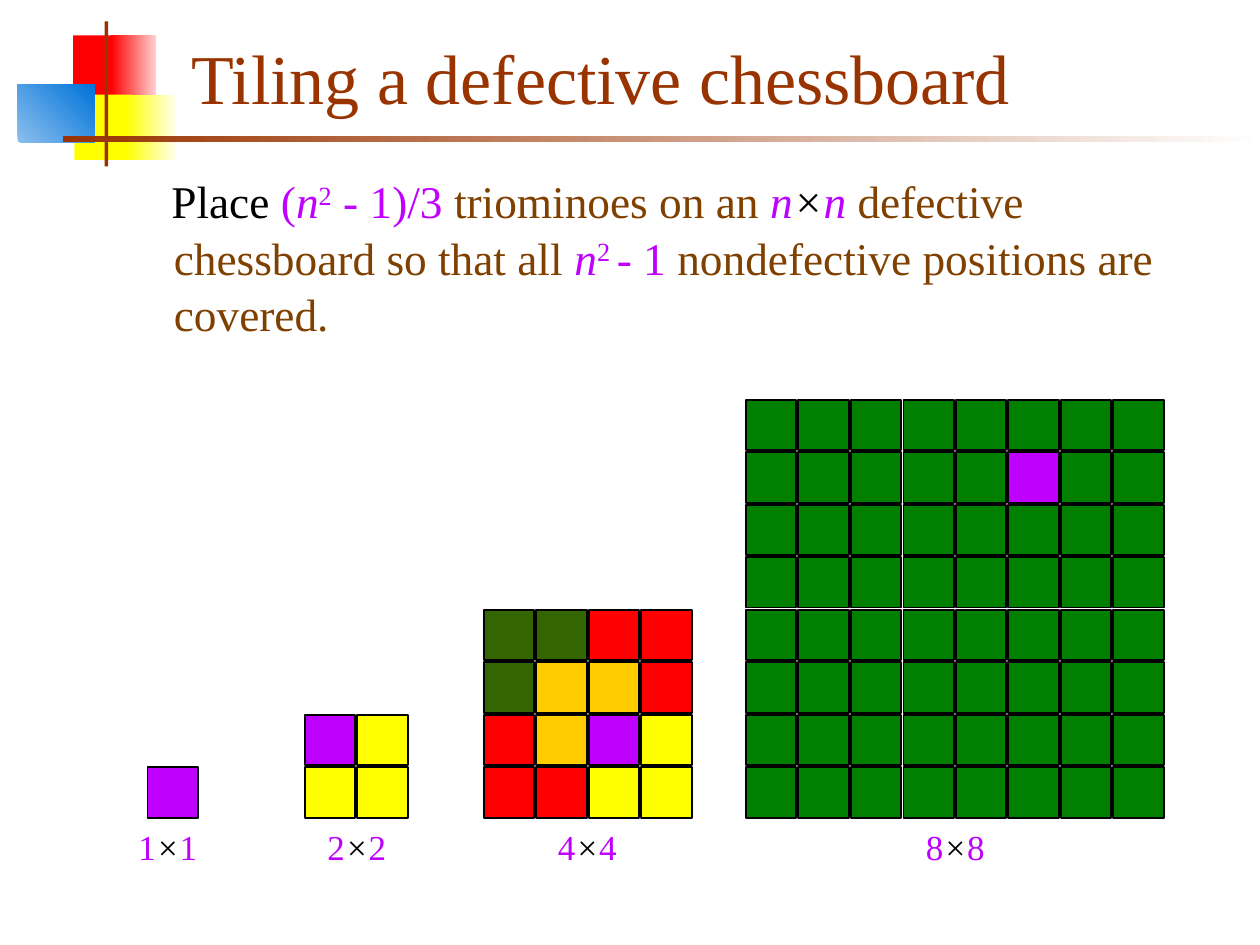
from pptx import Presentation
from pptx.dml.color import RGBColor
from pptx.enum.shapes import MSO_SHAPE
from pptx.enum.text import MSO_ANCHOR, MSO_AUTO_SIZE, PP_ALIGN
from pptx.oxml.xmlchemy import OxmlElement
from pptx.util import Inches, Pt

FONT = "Times New Roman"
BROWN, TEXT_BROWN, VIOLET, BLACK = "993300", "804000", "BF00FF", "000000"
RED, YELLOW = "FF0000", "FFFF00"


def add_box(shapes, left, top, width, height, colors, angle=0):
    """Add a rectangle without outline; two colours make a gradient."""
    shape = shapes.add_shape(MSO_SHAPE.RECTANGLE, Inches(left), Inches(top),
                             Inches(width), Inches(height))
    shape.shadow.inherit = False
    shape.line.fill.background()
    if len(colors) == 1:
        shape.fill.solid()
        shape.fill.fore_color.rgb = RGBColor.from_string(colors[0])
    else:
        shape.fill.gradient()
        shape.fill.gradient_angle = angle
        for stop, color, position in zip(shape.fill.gradient_stops, colors, (0, 1)):
            stop.color.rgb = RGBColor.from_string(color)
            stop.position = position
    return shape


def add_run(paragraph, text, size, color, italic=False, superscript=False):
    run = paragraph.add_run()
    run.text = text
    run.font.name = FONT
    run.font.size = Pt(size)
    run.font.italic = italic
    run.font.color.rgb = RGBColor.from_string(color)
    if superscript:
        run._r.get_or_add_rPr().set("baseline", "30000")


presentation = Presentation()
presentation.slide_width = Inches(10)
presentation.slide_height = Inches(7.5)
slide = presentation.slides.add_slide(presentation.slide_layouts[1])

# Corner decoration and rule under the title
for left, top, width, height, colors, angle in [
    (0.58, 0.28, 0.35, 0.52, [RED], 0),
    (0.88, 0.28, 0.36, 0.52, [RED, "FFD1D1"], 0),
    (0.59, 0.75, 0.46, 0.52, [YELLOW], 0),
    (1, 0.75, 0.4, 0.52, [YELLOW, "FFFFF0"], 0),
    (0.14, 0.67, 0.61, 0.46, ["8BBFEE", "0073D9"], 45),
    (0.83, 0.17, 0.03, 1.15, [BROWN], 0),
    (0.5, 1.08, 9.5, 0.05, [BROWN, "FFFFFF"], 0),
]:
    add_box(slide.shapes, left, top, width, height, colors, angle)

# Title
title = slide.shapes.title
title.left, title.top = Inches(1.42), Inches(0.21)
title.width, title.height = Inches(8.58), Inches(0.79)
title.text_frame.auto_size = MSO_AUTO_SIZE.NONE
title.text_frame.vertical_anchor = MSO_ANCHOR.MIDDLE
title_paragraph = title.text_frame.paragraphs[0]
title_paragraph.alignment = PP_ALIGN.LEFT
add_run(title_paragraph, "Tiling a defective chessboard", 40, BROWN)

# Problem statement
body = slide.placeholders[1]
body.left, body.top = Inches(0.9), Inches(1.31)
body.width, body.height = Inches(8.5), Inches(1.5)
body.text_frame.auto_size = MSO_AUTO_SIZE.NONE
statement = body.text_frame.paragraphs[0]
statement.space_before = Pt(7)
statement.line_spacing = 1.04
properties = statement._p.get_or_add_pPr()
properties.set("marL", str(Inches(0.38)))
properties.set("indent", str(Inches(-0.02)))
properties.append(OxmlElement("a:buNone"))
for text, color, italic, superscript in [
    ("Place ", BLACK, False, False),
    ("(", VIOLET, False, False),
    ("n", VIOLET, True, False),
    ("2", VIOLET, False, True),
    (" - 1)/3 ", VIOLET, False, False),
    ("triominoes on an ", TEXT_BROWN, False, False),
    ("n", VIOLET, True, False),
    ("×", BLACK, True, False),
    ("n ", VIOLET, True, False),
    ("defective chessboard so that all ", TEXT_BROWN, False, False),
    ("n", VIOLET, True, False),
    ("2 ", VIOLET, False, True),
    ("- 1 ", VIOLET, False, False),
    ("nondefective positions are covered.", TEXT_BROWN, False, False),
]:
    add_run(statement, text, 25.9, color, italic, superscript)

# Boards: one letter per square, rows from top to bottom, all on one baseline
SQUARE_COLORS = {"V": VIOLET, "Y": YELLOW, "R": RED,
                 "D": "336600", "O": "FFCC00", "G": "007F00"}
PITCH, SQUARE, BOTTOM_ROW = 5 / 12, 0.4, 6.09
boards = [
    (1.17, 1, ["V"]),
    (2.42, 2.5, ["VY", "YY"]),
    (3.84, 4.33, ["DDRR", "DOOR", "ROVY", "RRYY"]),
    (5.92, 7.25, ["G" * 8, "GGGGGVGG"] + ["G" * 8] * 6),
]
for board_left, label_left, rows in boards:
    size = len(rows)
    board = slide.shapes.add_group_shape()
    for row, letters in enumerate(rows):
        top = BOTTOM_ROW - (size - 1 - row) * PITCH
        for column, letter in enumerate(letters):
            square = add_box(board.shapes, board_left + column * PITCH, top,
                             SQUARE, SQUARE, [SQUARE_COLORS[letter]])
            square.line.color.rgb = RGBColor.from_string(BLACK)
            square.line.width = Pt(1)

    label = slide.shapes.add_textbox(Inches(label_left), Inches(6.5),
                                     Inches(0.83), Inches(0.43))
    label.text_frame.word_wrap = True
    label_paragraph = label.text_frame.paragraphs[0]
    label_paragraph.space_before = Pt(12.5)
    add_run(label_paragraph, str(size), 20, VIOLET)
    add_run(label_paragraph, "×", 20, BLACK, italic=True)
    add_run(label_paragraph, str(size), 20, VIOLET)

presentation.save("out.pptx")
